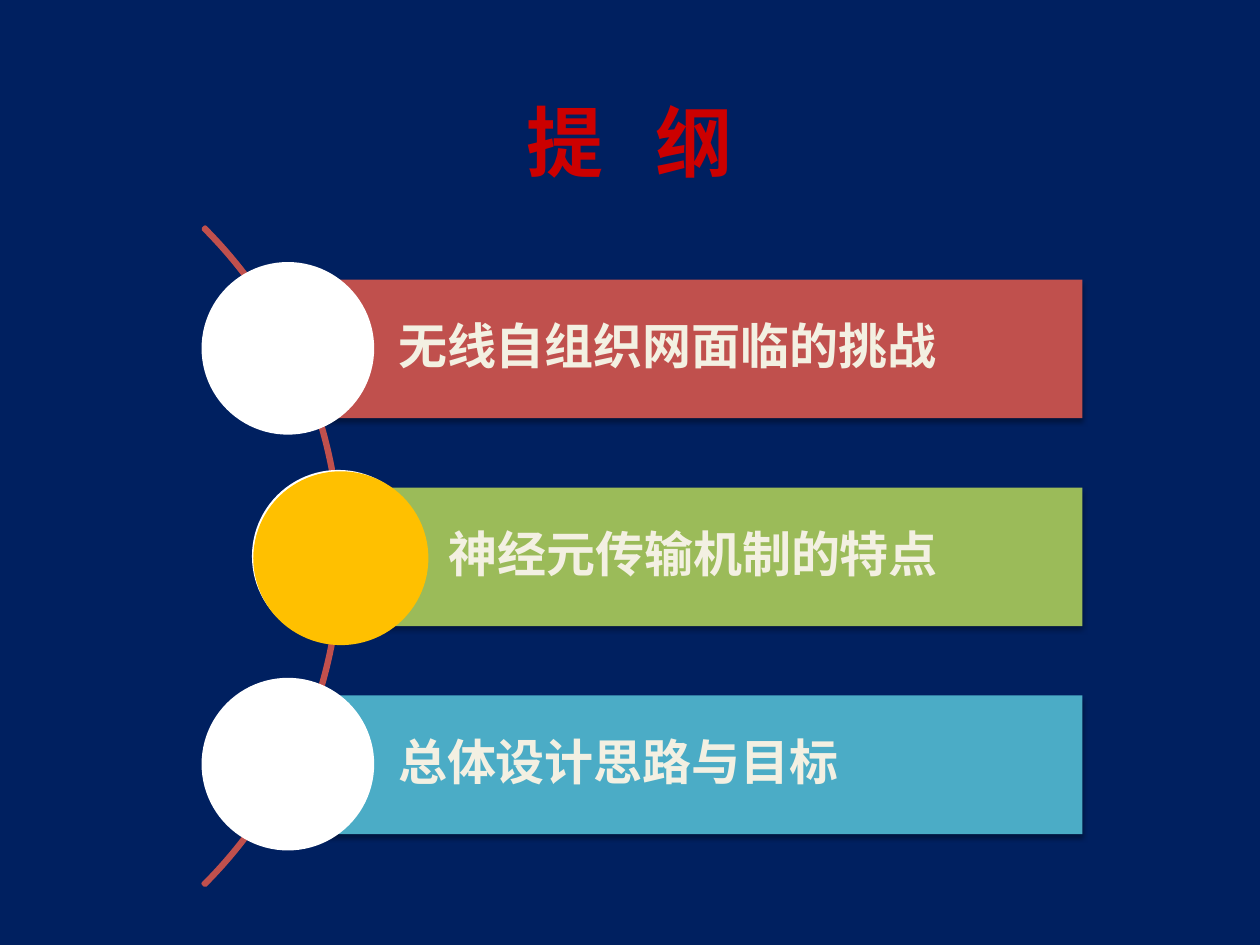
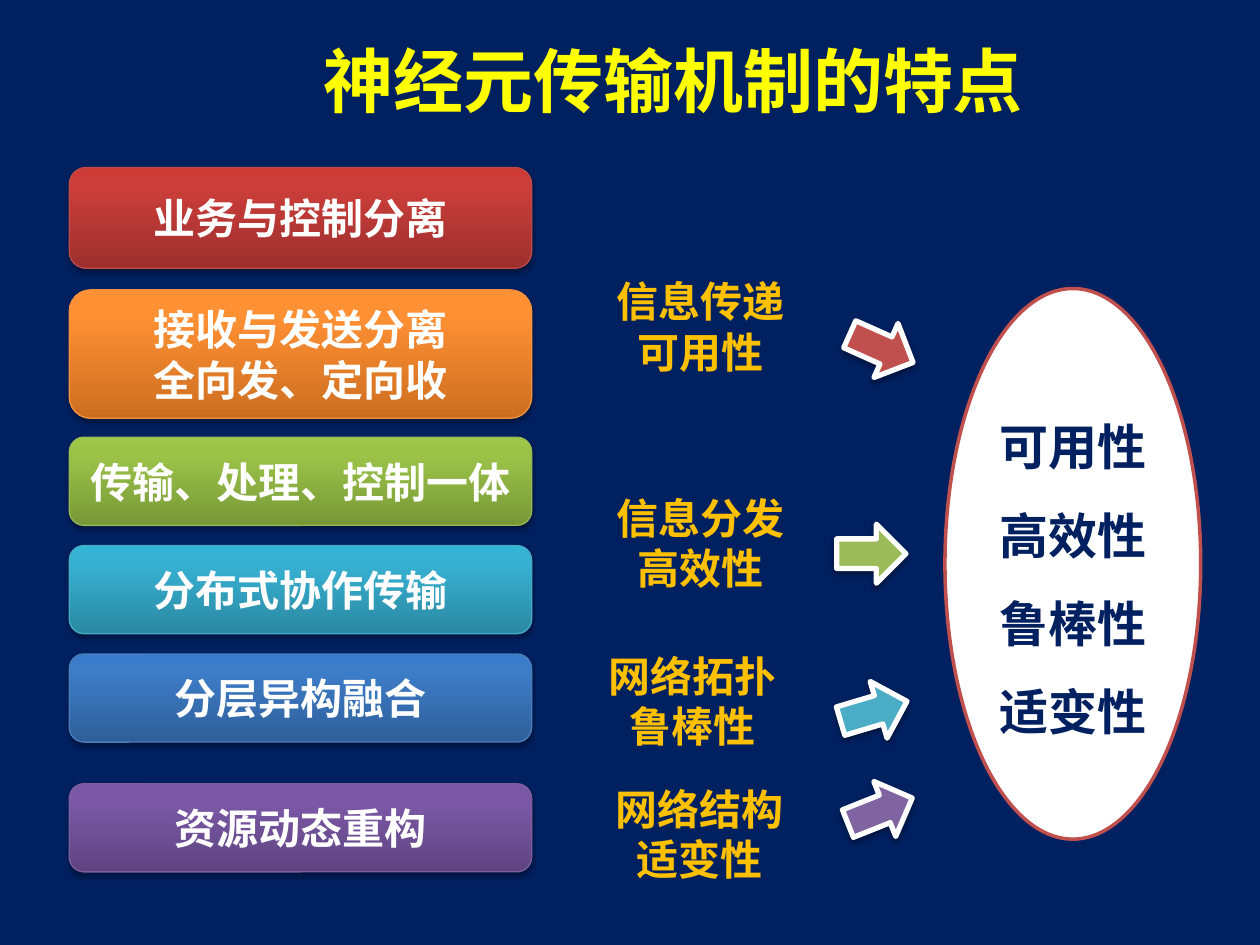
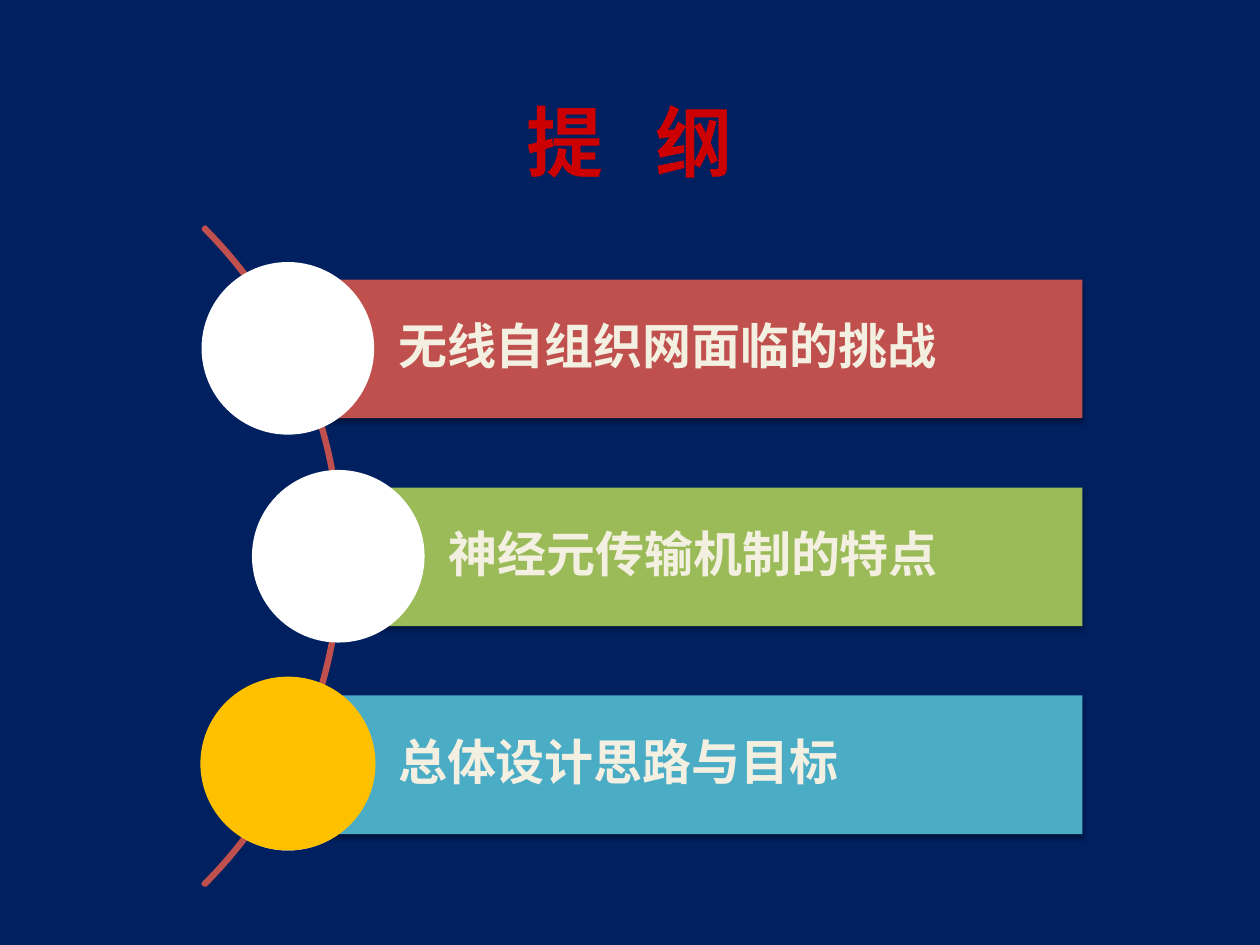
"""Build an outline, a features slide and the outline's next step."""
import copy

import pptx
import pptx.dml.color
import pptx.enum.shapes
import pptx.enum.text
import pptx.oxml
import pptx.oxml.ns
import pptx.util

Inches, Pt = pptx.util.Inches, pptx.util.Pt
RGB = pptx.dml.color.RGBColor.from_string
Shape = pptx.enum.shapes.MSO_SHAPE
Align = pptx.enum.text.PP_ALIGN
qn = pptx.oxml.ns.qn


class Theme:
    font = "Noto Sans CJK SC"
    navy, white, cream = "002060", "FFFFFF", "F3F0E2"
    red, green, teal, purple = "C0504D", "9BBB59", "4BACC6", "8064A2"
    amber, yellow, crimson = "FFC000", "FFFF00", "CC0000"
    outline_title, feature_title, item, label = 44, 40, 28, 24
    bar_shadow = {"alpha": 35, "dist": 1.8}
    arrow_shadow = {"alpha": 38, "dist": 1.6}


def add_block(slide, geometry, box, fill=None, line=None, shadow=None):
    """Add a preset shape with a solid, graded or empty fill."""
    block = slide.shapes.add_shape(geometry, *map(Inches, box))
    block.shadow.inherit = False
    if fill is None:
        block.fill.background()
    elif isinstance(fill, str):
        block.fill.solid()
        block.fill.fore_color.rgb = RGB(fill)
    else:
        block.fill.gradient()
        block.fill.gradient_angle = 90
        stops = block._element.spPr.find(".//" + qn("a:gsLst"))
        stops.append(copy.deepcopy(stops[-1]))
        for stop, position, color in zip(block.fill.gradient_stops, (0, 0.8, 1), fill):
            stop.position = position
            stop.color.rgb = RGB(color)
    if line:
        color, width = line
        block.line.color.rgb = RGB(color)
        block.line.width = Pt(width)
    else:
        block.line.fill.background()
    if shadow:
        effects = block._element.spPr.find(qn("a:effectLst"))
        effects.append(pptx.oxml.parse_xml(
            f'<a:outerShdw {pptx.oxml.ns.nsdecls("a")} blurRad="{Pt(3.1)}" '
            f'dist="{Pt(shadow["dist"])}" dir="5400000" rotWithShape="0">'
            f'<a:srgbClr val="000000"><a:alpha val="{shadow["alpha"] * 1000}"/>'
            '</a:srgbClr></a:outerShdw>'))
    return block


def write(block, lines, size, color, wrap=True, margins=(0.1, 0.05, 0.1, 0.05), **layout):
    """Write each line, a list of runs, as one bold paragraph."""
    frame = block.text_frame
    frame.word_wrap = wrap
    for side, margin in zip(("left", "top", "right", "bottom"), margins):
        setattr(frame, f"margin_{side}", Inches(margin))
    for index, runs in enumerate(lines):
        paragraph = frame.add_paragraph() if index else frame.paragraphs[0]
        for name, value in ({"alignment": Align.CENTER} | layout).items():
            setattr(paragraph, name, value)
        for text in runs:
            run = paragraph.add_run()
            run.text = text
            for name, value in {"size": Pt(size), "bold": True, "name": Theme.font}.items():
                setattr(run.font, name, value)
            run.font.color.rgb = RGB(color)
            latin = run.font._element.find(qn("a:latin"))
            east_asian = copy.deepcopy(latin)
            east_asian.tag = qn("a:ea")
            latin.addnext(east_asian)
            if text == " ":
                run.font._element.set("spc", "2000")


deck = pptx.Presentation()
deck.slide_width, deck.slide_height = Inches(10), Inches(7.5)
backdrop = deck.slide_master.background.fill
backdrop.solid()
backdrop.fore_color.rgb = RGB(Theme.navy)
blank = deck.slide_layouts[6]
outline, features, next_outline = [deck.slides.add_slide(blank) for _ in range(3)]

topics = [
    ("无线自组织网面临的挑战", 2.29, Theme.red),
    ("神经元传输机制的特点", 2.69, Theme.green),
    ("总体设计思路与目标", 2.29, Theme.teal),
]
for slide, current in ((outline, (2.01, 3.74)), (next_outline, (1.59, 5.37))):
    heading = slide.shapes.add_textbox(*map(Inches, (3.44, 0.7, 3.11, 0.83)))
    write(heading, [["提", " ", "纲"]], Theme.outline_title, Theme.crimson)
    arc = add_block(slide, Shape.BLOCK_ARC, (-4.68, 0.72, 7.39, 7.39), line=(Theme.red, 2))
    for index, value in enumerate((189, 27, 0.003)):
        arc.adjustments[index] = value
    for row, (topic, left, color) in enumerate(topics):
        top = 2.22 + 1.65 * row
        bar = add_block(slide, Shape.RECTANGLE, (left, top, 8.59 - left, 1.1), color,
                        shadow=Theme.bar_shadow)
        write(bar, [[topic]], Theme.item, Theme.cream, margins=(0.87, 0.08, 0.08, 0.08),
              alignment=Align.LEFT, line_spacing=0.9, space_after=Pt(9.8))
        add_block(slide, Shape.OVAL, (left - 0.69, top - 0.14, 1.37, 1.37), Theme.white)
    add_block(slide, Shape.OVAL, (*current, 1.39, 1.38), Theme.amber)

mechanisms = [
    (["业务与控制分离"], 1.33, 0.8, ("9C2F2D", "CB3E3A", "CE3B37"), "BE4B48"),
    (["接收与发送分离", "全向发、定向收"], 2.3, 1.02, ("CC6E20", "FF9034", "FF9136"), "F59240"),
    (["传输、处理、控制一体"], 3.47, 0.7, ("779737", "9BC348", "9DC746"), "98B855"),
    (["分布式协作传输"], 4.33, 0.7, ("2A88A2", "37B1D2", "34B4D6"), "46AAC4"),
    (["分层异构融合"], 5.19, 0.7, ("2F5F99", "3D7CC7", "3A7CCB"), "4A7EBB"),
    (["资源动态重构"], 6.22, 0.7, ("5F4480", "7B58A6", "7C57A8"), "7D5FA0"),
]
for lines, top, height, gradient, edge in mechanisms:
    mechanism = add_block(features, Shape.ROUNDED_RECTANGLE, (0.55, top, 3.67, height),
                          gradient, (edge, 0.75), Theme.bar_shadow)
    write(mechanism, [[line] for line in lines], Theme.label, Theme.white)

benefits = [
    (["信息传递可用性"], (4.78, 2.14, 1.56, 0.9)),
    (["信息分发高效性"], (4.78, 3.86, 1.56, 0.9)),
    (["网络拓扑", "鲁棒性"], (4.53, 5.11, 1.93, 0.9)),
    (["网络结构适变性"], (4.77, 6.17, 1.56, 0.9)),
]
for lines, box in benefits:
    benefit = features.shapes.add_textbox(*map(Inches, box))
    write(benefit, [[line] for line in lines], Theme.label, Theme.amber)

goals = add_block(features, Shape.OVAL, (7.5, 2.29, 2.03, 4.37), Theme.white, (Theme.red, 2))
write(goals, [["可用性"], ["高效性"], ["鲁棒性"], ["适变性"]], Theme.item, Theme.navy,
      line_spacing=1.5)

for left, top, angle, color in (
    (6.72, 2.53, 24, Theme.red),
    (6.64, 4.16, 0, Theme.green),
    (6.66, 5.41, 343.4, Theme.teal),
    (6.71, 6.2, 338.3, Theme.purple),
):
    arrow = add_block(features, Shape.RIGHT_ARROW, (left, top, 0.55, 0.47), color,
                      (Theme.white, 3), Theme.arrow_shadow)
    arrow.rotation = angle

heading = features.shapes.add_textbox(*map(Inches, (2.47, 0.25, 5.75, 0.77)))
write(heading, [["神经元传输机制的特点"]], Theme.feature_title, Theme.yellow, wrap=False,
      alignment=Align.LEFT)

deck.save("out.pptx")
